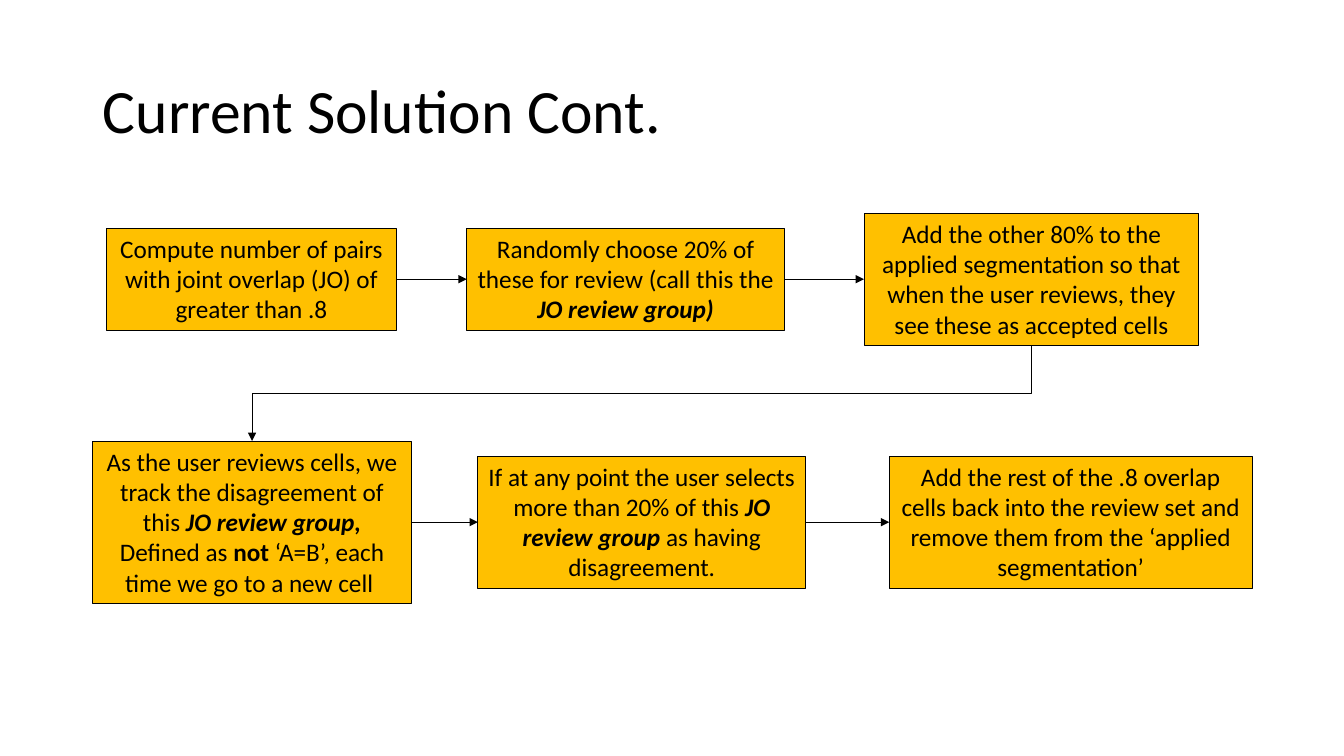
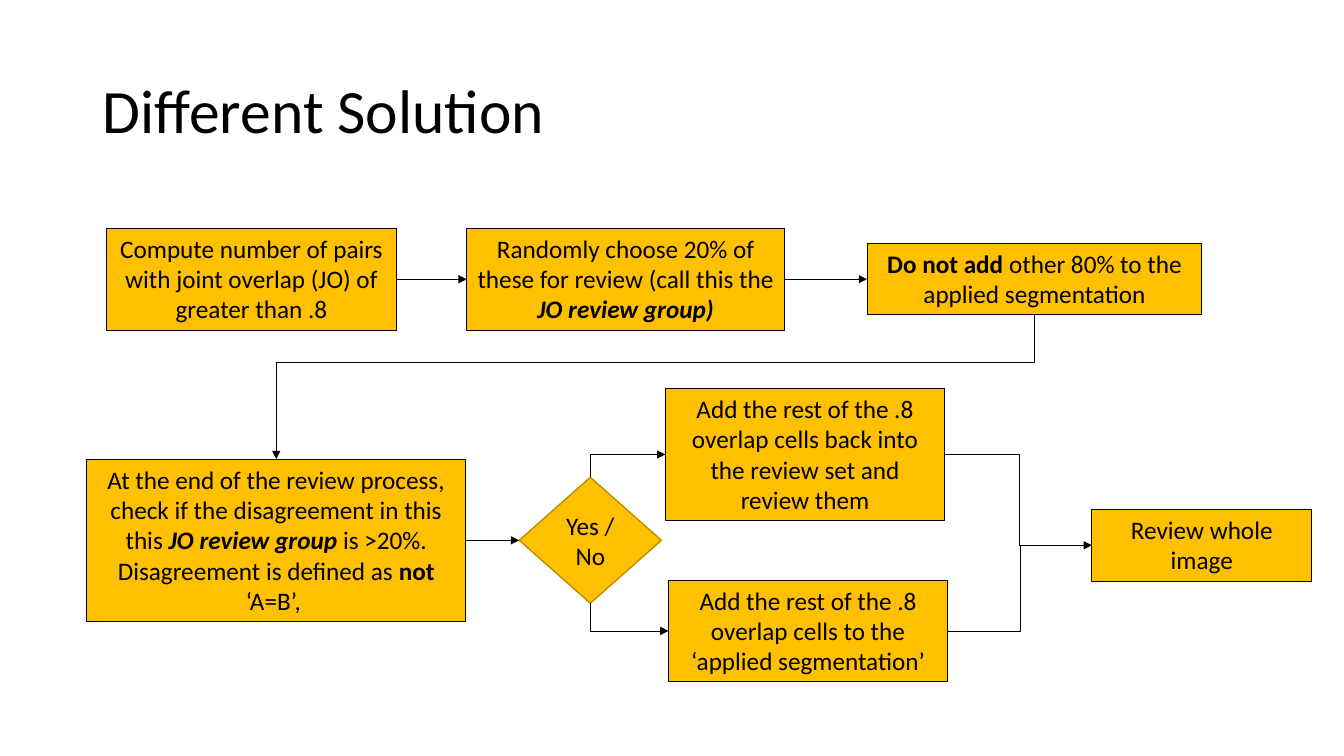
from dataclasses import dataclass

from lxml import etree
from pptx import Presentation, util as u
from pptx.dml import color
from pptx.enum import shapes, text
from pptx.oxml import ns


@dataclass(frozen=True)
class Theme:
    font: str = "Calibri"
    ink: str = "000000"
    amber: str = "FFC000"
    bronze: str = "BD8E00"
    title_size: float = 44
    body_size: float = 18
    box_line: float = 0.75
    diamond_line: float = 1
    arrow_line: float = 0.5


@dataclass(frozen=True)
class Step:
    gap: float
    width: float
    lines: int
    spans: tuple


THEME = Theme()
TOP, LEFT, BOTTOM, RIGHT = range(4)
PLAIN, BOLD, STRONG = (False, False), (True, False), (True, True)
PAD, LINE_HEIGHT = 0.1, 0.3
TITLE_AREA = (0.92, 0.4, 11.5, 1.45)


def rgb(value):
    return color.RGBColor.from_string(value)


def style_run(run, size, look=PLAIN):
    run.font.name = THEME.font
    run.font.size = u.Pt(size)
    run.font.color.rgb = rgb(THEME.ink)
    run.font.bold, run.font.italic = look


def add_page(deck, title):
    page = deck.slides.add_slide(deck.slide_layouts[5])
    holder = page.shapes.title
    holder.left, holder.top, holder.width, holder.height = map(u.Inches, TITLE_AREA)
    frame = holder.text_frame
    frame.text = title
    frame.auto_size = text.MSO_AUTO_SIZE.NONE
    frame.vertical_anchor = text.MSO_ANCHOR.MIDDLE
    para = frame.paragraphs[0]
    para.alignment = text.PP_ALIGN.LEFT
    para.line_spacing = 0.9
    style_run(para.runs[0], THEME.title_size)
    return page


def add_node(page, kind, area, spans, line, line_width):
    node = page.shapes.add_shape(kind, *map(u.Inches, area))
    node.shadow.inherit = False
    node.fill.solid()
    node.fill.fore_color.rgb = rgb(THEME.amber)
    node.line.color.rgb = rgb(line)
    node.line.width = u.Pt(line_width)
    node.text_frame.word_wrap = True
    para = node.text_frame.paragraphs[0]
    para.alignment = text.PP_ALIGN.CENTER
    for words, look in spans:
        run = para.add_run()
        run.text = words
        style_run(run, THEME.body_size, look)
    return node


def add_box(page, left, middle, width, lines, spans):
    height = PAD + lines * LINE_HEIGHT + 0.01
    area = (left, middle - height / 2, width, height)
    box = add_node(page, shapes.MSO_SHAPE.RECTANGLE, area, spans, THEME.ink, THEME.box_line)
    box.text_frame.vertical_anchor = text.MSO_ANCHOR.TOP
    box.text_frame.auto_size = text.MSO_AUTO_SIZE.SHAPE_TO_FIT_TEXT
    return box


def add_diamond(page, left, middle, width, height, label):
    area = (left, middle - height / 2, width, height)
    diamond = add_node(page, shapes.MSO_SHAPE.DIAMOND, area, [(label, PLAIN)],
                       THEME.bronze, THEME.diamond_line)
    diamond.text_frame.vertical_anchor = text.MSO_ANCHOR.MIDDLE
    return diamond


def add_link(page, kind, source, exit_side, target, entry_side):
    link = page.shapes.add_connector(kind, 0, 0, 0, 0)
    link.begin_connect(source, exit_side)
    if isinstance(target, tuple):
        link.end_x, link.end_y = map(u.Inches, target)
    else:
        link.end_connect(target, entry_side)
    link.line.color.rgb = rgb(THEME.ink)
    link.line.width = u.Pt(THEME.arrow_line)
    if entry_side is not None:
        etree.SubElement(link.line._get_or_add_ln(), ns.qn("a:tailEnd"), type="triangle")
    etree.SubElement(link._element.spPr, ns.qn("a:effectLst"))
    return link


def add_arrow(page, source, target):
    return add_link(page, shapes.MSO_CONNECTOR.STRAIGHT, source, RIGHT, target, LEFT)


def add_elbow(page, source, exit_side, target, entry_side=None, bends=2, bend_at=0.5):
    link = add_link(page, shapes.MSO_CONNECTOR.ELBOW, source, exit_side, target, entry_side)
    across, down = link.end_x - link.begin_x, link.end_y - link.begin_y
    center_x = (link.begin_x + link.end_x) // 2
    center_y = (link.begin_y + link.end_y) // 2
    turned = exit_side in (TOP, BOTTOM)
    size = (abs(down), abs(across)) if turned else (abs(across), abs(down))
    link.width, link.height = size
    link.left, link.top = center_x - size[0] // 2, center_y - size[1] // 2
    frame = link._element.spPr.find(ns.qn("a:xfrm"))
    frame.set("rot", "5400000" if turned else "0")
    frame.set("flipH", str(int(down < 0 if turned else across < 0)))
    frame.set("flipV", str(int(across > 0 if turned else down < 0)))
    outline = link._element.spPr.find(ns.qn("a:prstGeom"))
    outline.set("prst", f"bentConnector{bends + 1}")
    if bends == 2:
        guides = outline.find(ns.qn("a:avLst"))
        etree.SubElement(guides, ns.qn("a:gd"), name="adj1",
                         fmla=f"val {round(bend_at * 100000)}")
    return link


def add_row(page, left, middle, steps):
    boxes = []
    for step in steps:
        left += step.gap
        boxes.append(add_box(page, left, middle, step.width, step.lines, step.spans))
        left += step.width
    for source, target in zip(boxes, boxes[1:]):
        add_arrow(page, source, target)
    return boxes


def add_decision(page, left, middle, source):
    diamond = add_diamond(page, left, middle, 1.41, 1.25, "Yes / No")
    review = add_box(page, left + 1.45, middle - 0.85, 2.77, 4, [
        ("Add the rest of the .8 overlap cells back into the review set and review them", PLAIN)])
    accept = add_box(page, left + 1.48, middle + 0.9, 2.77, 3, [
        ("Add the rest of the .8 overlap cells to the ‘applied segmentation’", PLAIN)])
    finish = add_box(page, left + 5.68, middle + 0.05, 2.18, 2, [("Review whole image", PLAIN)])
    add_arrow(page, source, diamond)
    add_elbow(page, diamond, TOP, review, LEFT, bends=1)
    add_elbow(page, diamond, BOTTOM, accept, LEFT, bends=1)
    add_elbow(page, review, RIGHT, finish, LEFT, bend_at=0.51)
    add_elbow(page, accept, RIGHT, (left + 4.97, middle + 0.05), bends=1)


OPENING = (
    Step(0, 2.87, 3, (
        ("Compute number of pairs with joint overlap (JO) of greater than .8", PLAIN),)),
    Step(0.7, 3.15, 3, (
        ("Randomly choose 20% of these for review (call this the ", PLAIN),
        ("JO review group)", STRONG))),
)
ACCEPT_REST = Step(0.79, 3.32, 4, (
    ("Add the other 80% to the applied segmentation so that when the user reviews, "
     "they see these as accepted cells", PLAIN),))
HOLD_REST = Step(0.82, 3.32, 2, (
    ("Do not add ", BOLD), ("other 80% to the applied segmentation", PLAIN)))
TRACKING = (
    Step(0, 3.16, 5, (
        ("As the user reviews cells, we track the disagreement of this ", PLAIN),
        ("JO review group, ", STRONG), ("Defined as ", PLAIN), ("not", BOLD),
        (" ‘A=B’, each time we go to a new cell ", PLAIN))),
    Step(0.66, 3.25, 4, (
        ("If at any point the user selects more than 20% of this ", PLAIN),
        ("JO review group", STRONG), (" as having disagreement.", PLAIN))),
    Step(0.83, 3.6, 4, (
        ("Add the rest of the .8 overlap cells back into the review set and "
         "remove them from the ‘applied segmentation’", PLAIN),)),
)
FINAL_CHECK = Step(0, 3.76, 5, (
    ("At the end of the review process, check if the disagreement in this this ", PLAIN),
    ("JO review group ", STRONG), ("is >20%. Disagreement is defined as ", PLAIN),
    ("not", BOLD), (" ‘A=B’, ", PLAIN)))


def build_current(deck):
    page = add_page(deck, "Current Solution Cont.")
    upper = add_row(page, 1.06, 2.77, OPENING + (ACCEPT_REST,))
    lower = add_row(page, 0.92, 5.18, TRACKING)
    add_elbow(page, upper[-1], BOTTOM, lower[0], TOP)


def build_different(deck):
    page = add_page(deck, "Different Solution")
    upper = add_row(page, 1.06, 2.77, OPENING + (HOLD_REST,))
    check, = add_row(page, 0.86, 5.36, (FINAL_CHECK,))
    add_elbow(page, upper[-1], BOTTOM, check, TOP, bend_at=0.33)
    add_decision(page, 5.15, 5.36, check)


deck = Presentation()
deck.slide_width, deck.slide_height = u.Inches(13.33), u.Inches(7.5)
build_current(deck)
build_different(deck)
deck.save("out.pptx")
